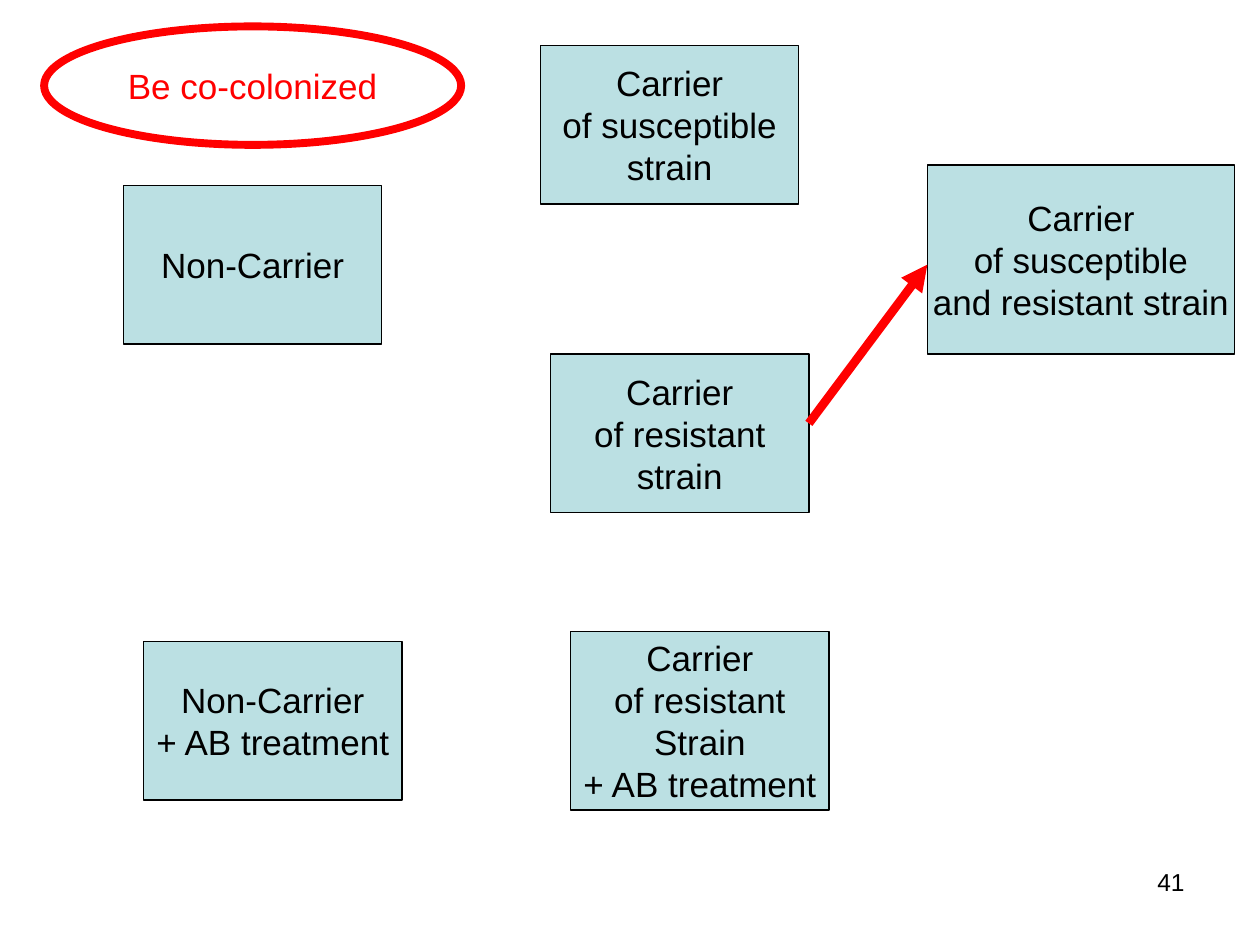
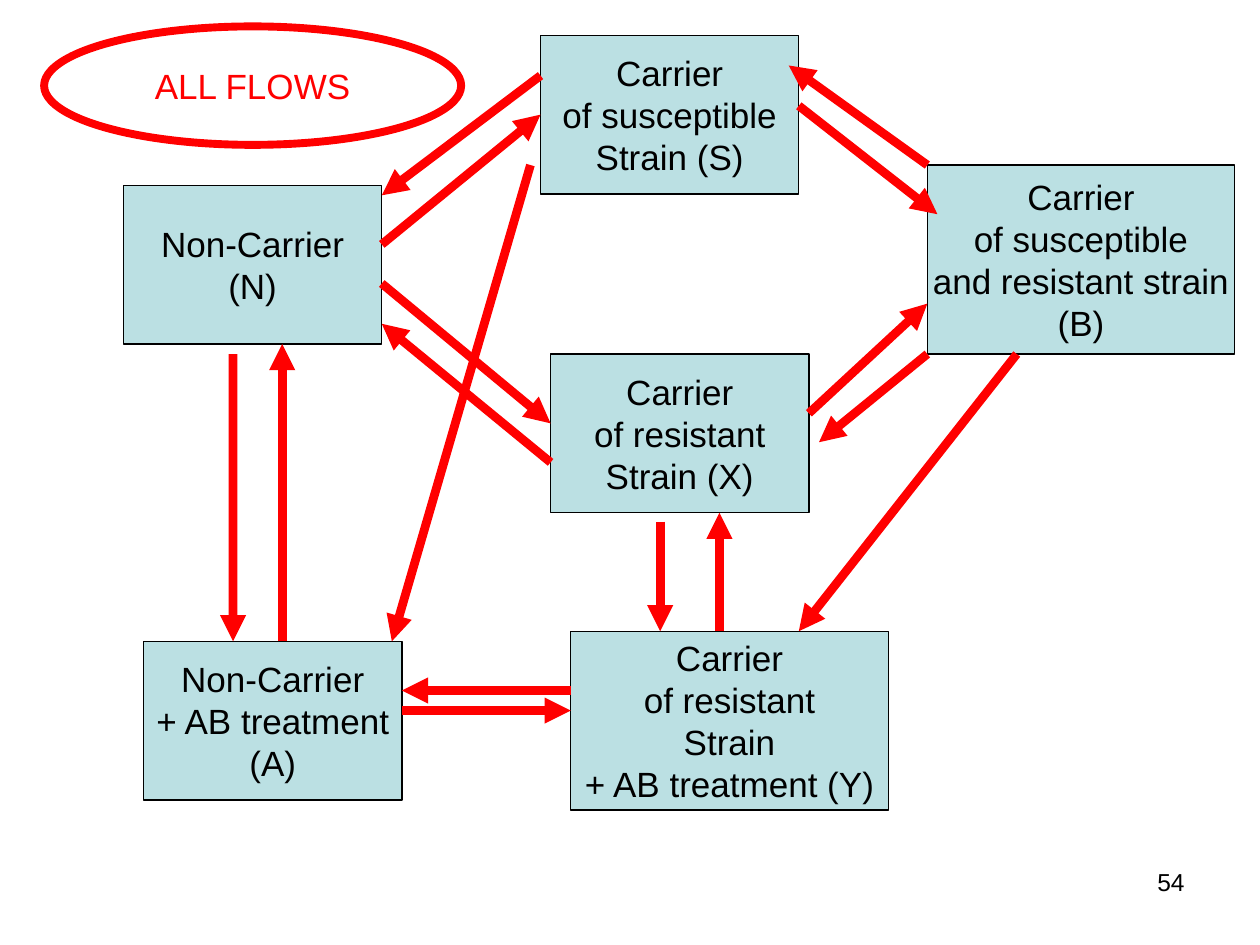
import pptx
import pptx.util
import pptx.dml.color
import pptx.enum.shapes
import pptx.enum.text
import pptx.oxml.ns
import lxml.etree

Inches = pptx.util.Inches
Pt = pptx.util.Pt
SHAPE = pptx.enum.shapes.MSO_SHAPE
ALIGN = pptx.enum.text.PP_ALIGN

COLORS = {"state": "BBE0E3", "ink": "000000", "flow": "FF0000", "paper": "FFFFFF"}
FONT = "Arial"
W, H = 2.05, 1.26
TITLE_BOX = (0.35, 0.21, 3.31, 0.94)
NUMBER_BOX = (7.17, 6.83, 2.33, 0.52)

STATE_BOXES = {
    "N": (0.98, 1.47, W, H),
    "A": (1.14, 5.09, W, H),
    "S": (4.29, 0.36, W, H),
    "X": (4.37, 2.81, W, H),
    "B": (7.36, 1.31, 2.44, 1.5),
    "Y": (4.53, 5.01, W, 1.42),
}
ALL_FLOWS_BOXES = {**STATE_BOXES, "S": (4.29, 0.28, W, H), "Y": (4.53, 5.01, 2.52, 1.42)}

STATE_NAMES = {
    "N": "Non-Carrier",
    "A": "Non-Carrier\n+ AB treatment",
    "S": "Carrier\nof susceptible\nstrain",
    "X": "Carrier\nof resistant\nstrain",
    "B": "Carrier\nof susceptible\nand resistant strain",
    "Y": "Carrier\nof resistant\nStrain\n+ AB treatment",
}
LETTERED_NAMES = {
    "N": "Non-Carrier\n(N)",
    "A": "Non-Carrier\n+ AB treatment\n(A)",
    "S": "Carrier\nof susceptible\nStrain (S)",
    "X": "Carrier\nof resistant\nStrain (X)",
    "B": "Carrier\nof susceptible\nand resistant strain\n(B)",
    "Y": "Carrier\nof resistant\nStrain\n+ AB treatment (Y)",
}

# Each flow: source state, offset in its box, target state, offset in its box.
CO_COLONIZED = [("X", (W, 0.55), "B", (0, 0.79))]
ALL_FLOWS = [
    ("N", (W, 0.47), "S", (0, 0.63)),
    ("N", (W, 0.78), "X", (0, 0.55)),
    ("S", (W, 0.56), "B", (0.08, 0.39)),
    ("X", (W, 0.47), "B", (0, 1.1)),
    ("A", (W, 0.55), "Y", (0, 0.63)),
    ("S", (0, 0.32), "N", (W, 0.08)),
    ("B", (0, 0), "S", (1.97, 0.24)),
    ("B", (0, 1.5), "X", (2.13, 0.7)),
    ("Y", (0, 0.47), "A", (W, 0.39)),
    ("N", (0.87, 1.34), "A", (0.71, 0)),
    ("A", (1.1, 0), "N", (1.26, H)),
    ("S", (-0.08, 1.03), "A", (1.97, 0)),
    ("X", (0.87, 1.33), "Y", (0.71, 0)),
    ("Y", (1.18, 0), "X", (1.34, H)),
    ("B", (0.71, 1.5), "Y", (1.81, 0)),
    ("X", (0, 0.86), "N", (W, 1.1)),
]


def rgb(name):
    return pptx.dml.color.RGBColor.from_string(COLORS[name])


def write(tf, text, size, color, align):
    tf.text = text
    for p in tf.paragraphs:
        p.alignment = align
        p.font.name = FONT
        p.font.size = Pt(size)
        p.font.color.rgb = rgb(color)


def add_node(slide, kind, box, text, fill, line, width, color):
    sp = slide.shapes.add_shape(kind, *map(Inches, box))
    sp.shadow.inherit = False
    sp.fill.solid()
    sp.fill.fore_color.rgb = rgb(fill)
    sp.line.color.rgb = rgb(line)
    sp.line.width = Pt(width)
    tf = sp.text_frame
    tf.word_wrap = False
    tf.vertical_anchor = pptx.enum.text.MSO_ANCHOR.MIDDLE
    write(tf, text, 20, color, ALIGN.CENTER)
    for p in tf.paragraphs:
        p.line_spacing = Pt(24)


def add_flow(slide, source, start, target, end):
    points = [box[i] + offset[i] for box, offset in ((source, start), (target, end)) for i in (0, 1)]
    line = slide.shapes.add_connector(
        pptx.enum.shapes.MSO_CONNECTOR.STRAIGHT, *map(Inches, points))
    line.line.color.rgb = rgb("flow")
    line.line.width = Pt(5)
    qn = pptx.oxml.ns.qn
    sp_pr = line._element.spPr
    lxml.etree.SubElement(sp_pr.find(qn("a:ln")), qn("a:tailEnd"), type="triangle")
    lxml.etree.SubElement(sp_pr, qn("a:effectLst"))


def add_number(slide, box, number):
    tf = slide.shapes.add_textbox(*map(Inches, box)).text_frame
    tf.word_wrap = True
    write(tf, str(number), 14, "ink", ALIGN.RIGHT)


def add_flow_slide(prs, title, boxes, names, flows, number):
    slide = prs.slides.add_slide(prs.slide_layouts[6])
    for state, box in boxes.items():
        add_node(slide, SHAPE.RECTANGLE, box, names[state], "state", "ink", 0.75, "ink")
    for source, start, target, end in flows:
        add_flow(slide, boxes[source], start, boxes[target], end)
    add_node(slide, SHAPE.OVAL, TITLE_BOX, title, "paper", "flow", 4.5, "flow")
    add_number(slide, NUMBER_BOX, number)


def main():
    prs = pptx.Presentation()
    prs.slide_width, prs.slide_height = Inches(10), Inches(7.5)
    add_flow_slide(prs, "Be co-colonized", STATE_BOXES, STATE_NAMES, CO_COLONIZED, 41)
    add_flow_slide(prs, "ALL FLOWS", ALL_FLOWS_BOXES, LETTERED_NAMES, ALL_FLOWS, 54)
    prs.save("out.pptx")


if __name__ == "__main__":
    main()
